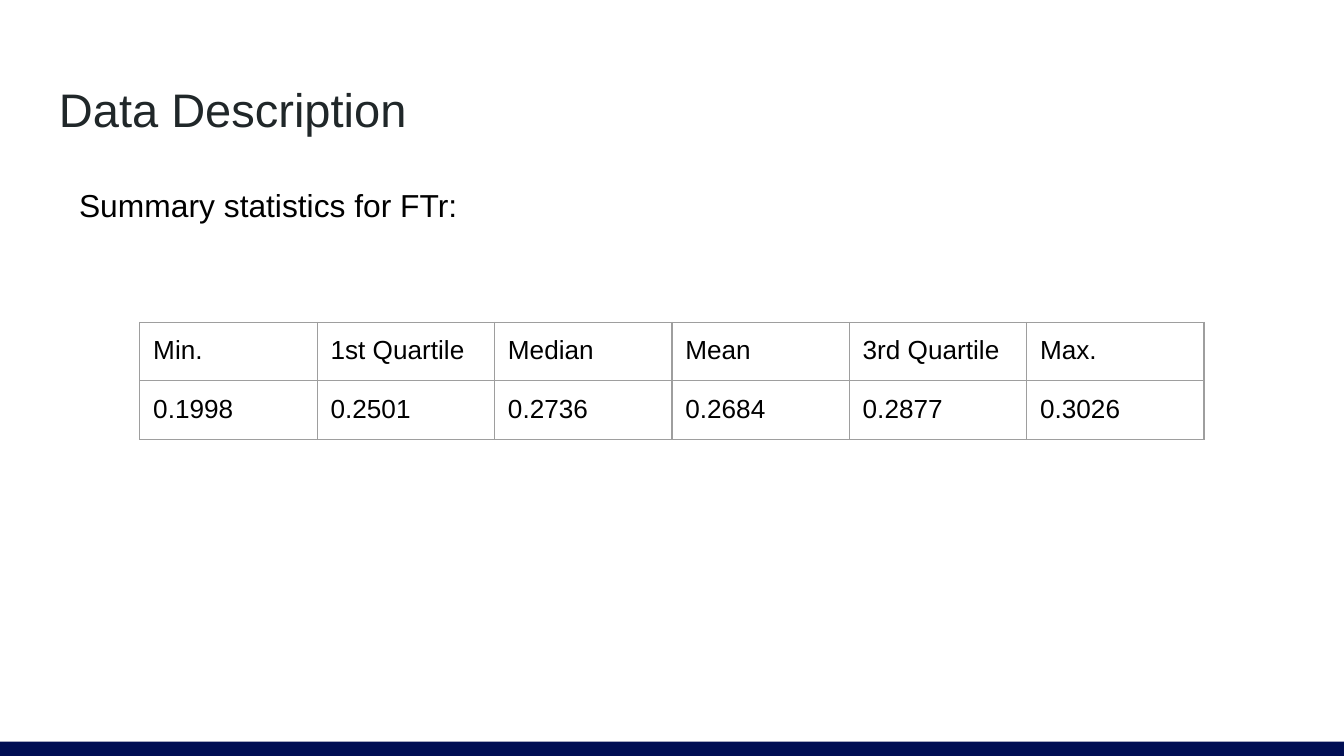
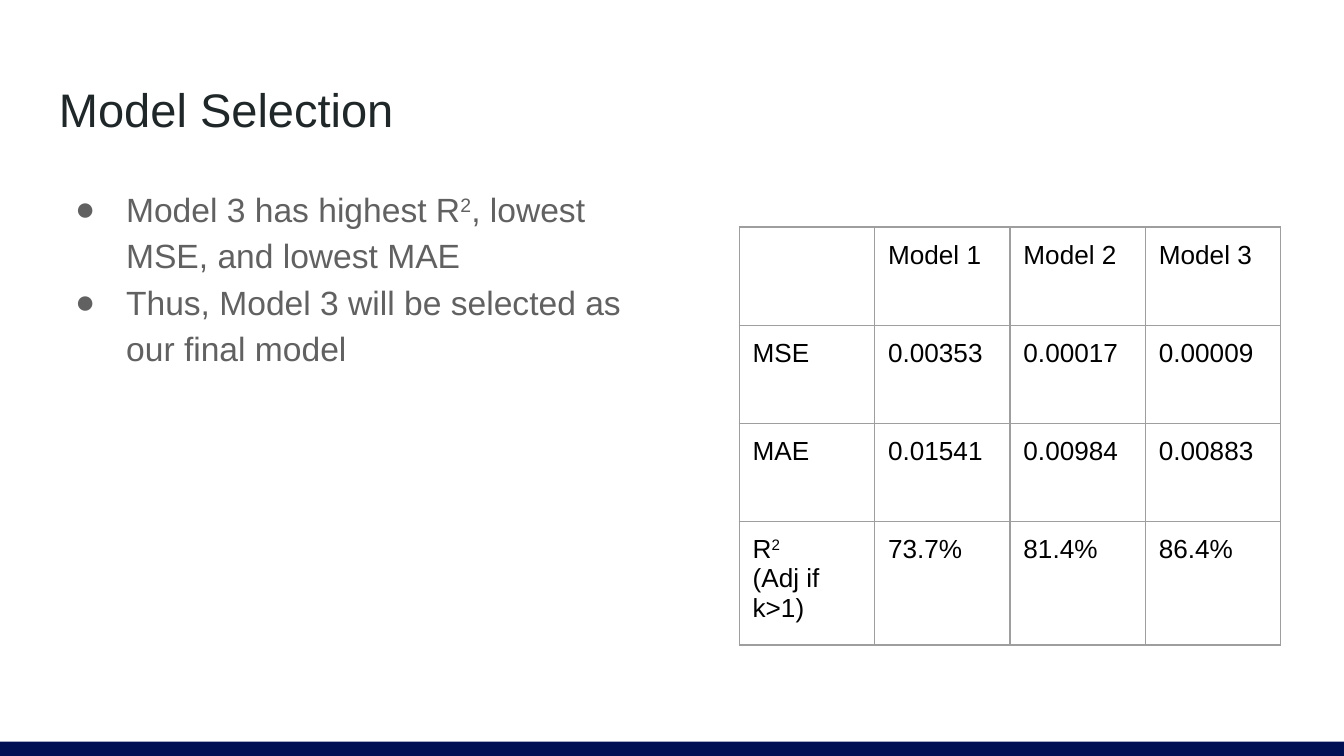
import pptx
import pptx.dml.color
import pptx.enum.shapes
import pptx.enum.text
import pptx.oxml
import pptx.oxml.ns
import pptx.util

RGB = pptx.dml.color.RGBColor
NAVY = RGB(0x00, 0x0E, 0x54)
INK = RGB(0x20, 0x27, 0x29)
GRAY = RGB(0x61, 0x61, 0x61)
RULE = RGB(0x9E, 0x9E, 0x9E)
BLACK = RGB(0, 0, 0)
WIDE = pptx.util.Inches(10)
HIGH = WIDE * 9 // 16
PAD = pptx.util.Inches(0.1)
FONT = "Arial"
TOP = pptx.enum.text.MSO_ANCHOR.TOP
BOTTOM = pptx.enum.text.MSO_ANCHOR.BOTTOM

BAR = (0, 98.1, 100, 1.9)
TITLE = (3.4, 8.71, 93.2, 11.2)
LEAD = (4.9, 22.76, 90.2, 8.71)
BODY = (3.4, 22.4, 44.1, 66.49)
STATS = (10.4, 42.67, 79.2, 15.2)
SCORES = (55, 30.04, 40.3, 55.29)


def scale(box):
    """Turn a box in percent of the slide into lengths."""
    return [round(part * side / 100) for part, side in zip(box, (WIDE, HIGH) * 2)]


def add_xml(parent, tag, body="", **attrs):
    """Append one drawing element with its attributes and inner markup."""
    pairs = " ".join(f'{key}="{value}"' for key, value in attrs.items())
    space = pptx.oxml.ns.nsdecls("a")
    parent.append(pptx.oxml.parse_xml(f"<a:{tag} {space} {pairs}>{body}</a:{tag}>"))


def write(frame, text, size, color):
    """Write lines of text, raising whatever stands between carets."""
    for index, line in enumerate(text.split("\n")):
        para = frame.add_paragraph() if index else frame.paragraphs[0]
        para.font.size = pptx.util.Pt(size)
        para.font.name = FONT
        para.font.color.rgb = color
        for turn, piece in enumerate(line.split("^")):
            if piece:
                run = para.add_run()
                run.text = piece
                if turn % 2:
                    run.font._element.set("baseline", "30000")


def add_text(slide, box, text, size, color, anchor=TOP):
    """Place a wrapped text box and return its frame."""
    frame = slide.shapes.add_textbox(*scale(box)).text_frame
    frame.word_wrap = True
    frame.vertical_anchor = anchor
    frame.margin_left = frame.margin_right = PAD
    frame.margin_top = frame.margin_bottom = PAD
    write(frame, text, size, color)
    return frame


def add_list(slide, box, text):
    """Place a bulleted list."""
    for para in add_text(slide, box, text, 18, GRAY).paragraphs:
        para.line_spacing = 1.15
        props = para._p.get_or_add_pPr()
        props.set("marL", str(pptx.util.Inches(0.5)))
        props.set("indent", str(pptx.util.Inches(-0.38)))
        add_xml(props, "buClr", f'<a:srgbClr val="{GRAY}"/>')
        add_xml(props, "buFont", typeface=FONT)
        add_xml(props, "buChar", char="●")


def style_cell(cell, text):
    """Fill one table cell with text and rule its four sides."""
    cell.margin_left = cell.margin_right = PAD
    cell.margin_top = cell.margin_bottom = PAD
    props = cell._tc.get_or_add_tcPr()
    line = f'<a:solidFill><a:srgbClr val="{RULE}"/></a:solidFill>'
    for side in "LRTB":
        add_xml(props, f"ln{side}", line, w=pptx.util.Pt(0.75))
    cell.fill.background()
    write(cell.text_frame, text, 14, BLACK)


def add_grid(slide, box, rows, shares):
    """Place a ruled table with equal columns and rows split by shares."""
    left, top, width, height = scale(box)
    count = len(rows[0])
    table = slide.shapes.add_table(len(rows), count, left, top, width, height).table
    table.first_row = table.horz_banding = False
    for column in table.columns:
        column.width = width // count
    for row, share, texts in zip(table.rows, shares, rows):
        row.height = round(height * share / sum(shares))
        for cell, text in zip(row.cells, texts):
            style_cell(cell, text)


def add_base(deck, title):
    """Start a blank slide with the shared bar and title."""
    slide = deck.slides.add_slide(deck.slide_layouts[6])
    kind = pptx.enum.shapes.MSO_SHAPE.RECTANGLE
    bar = slide.shapes.add_shape(kind, *scale(BAR))
    bar.shadow.inherit = False
    bar.fill.solid()
    bar.fill.fore_color.rgb = NAVY
    bar.line.fill.background()
    add_text(slide, TITLE, title, 25.2, INK, BOTTOM)
    return slide


def add_data(deck):
    """Build the slide of summary statistics."""
    slide = add_base(deck, "Data Description")
    add_text(slide, LEAD, "Summary statistics for FTr:", 17, BLACK)
    rows = [
        ("Min.", "1st Quartile", "Median", "Mean", "3rd Quartile", "Max."),
        ("0.1998", "0.2501", "0.2736", "0.2684", "0.2877", "0.3026"),
    ]
    add_grid(slide, STATS, rows, (1, 1))


def add_model(deck):
    """Build the slide that compares the models."""
    slide = add_base(deck, "Model Selection")
    add_list(
        slide,
        BODY,
        "Model 3 has highest R^2^, lowest MSE, and lowest MAE\n"
        "Thus, Model 3 will be selected as our final model",
    )
    rows = [
        ("", "Model 1", "Model 2", "Model 3"),
        ("MSE", "0.00353", "0.00017", "0.00009"),
        ("MAE", "0.01541", "0.00984", "0.00883"),
        ("R^2^\n(Adj if k>1)", "73.7%", "81.4%", "86.4%"),
    ]
    add_grid(slide, SCORES, rows, (73, 73, 73, 92))


def main():
    """Build and save the deck."""
    deck = pptx.Presentation()
    deck.slide_width = WIDE
    deck.slide_height = HIGH
    add_data(deck)
    add_model(deck)
    deck.save("out.pptx")


if __name__ == "__main__":
    main()
